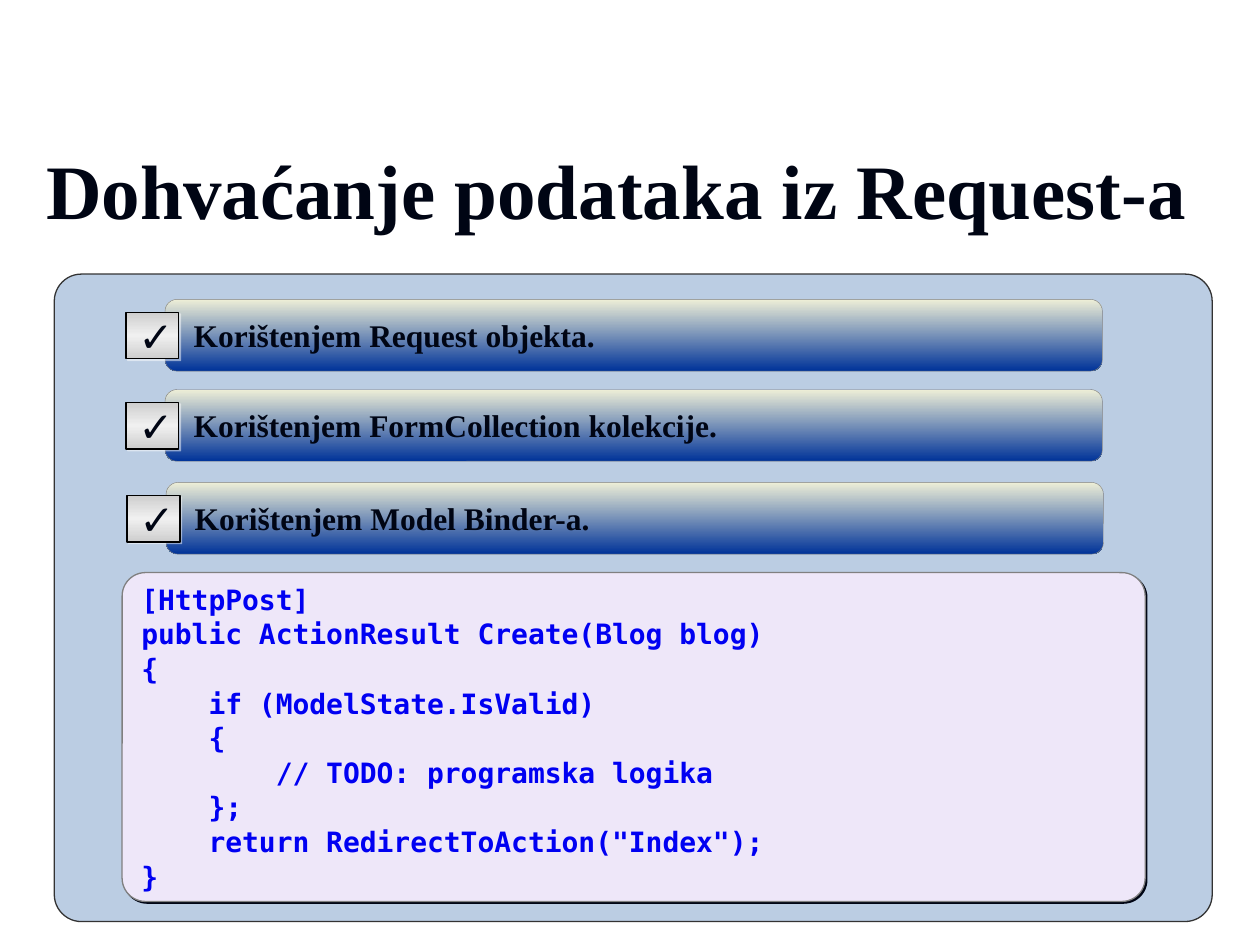
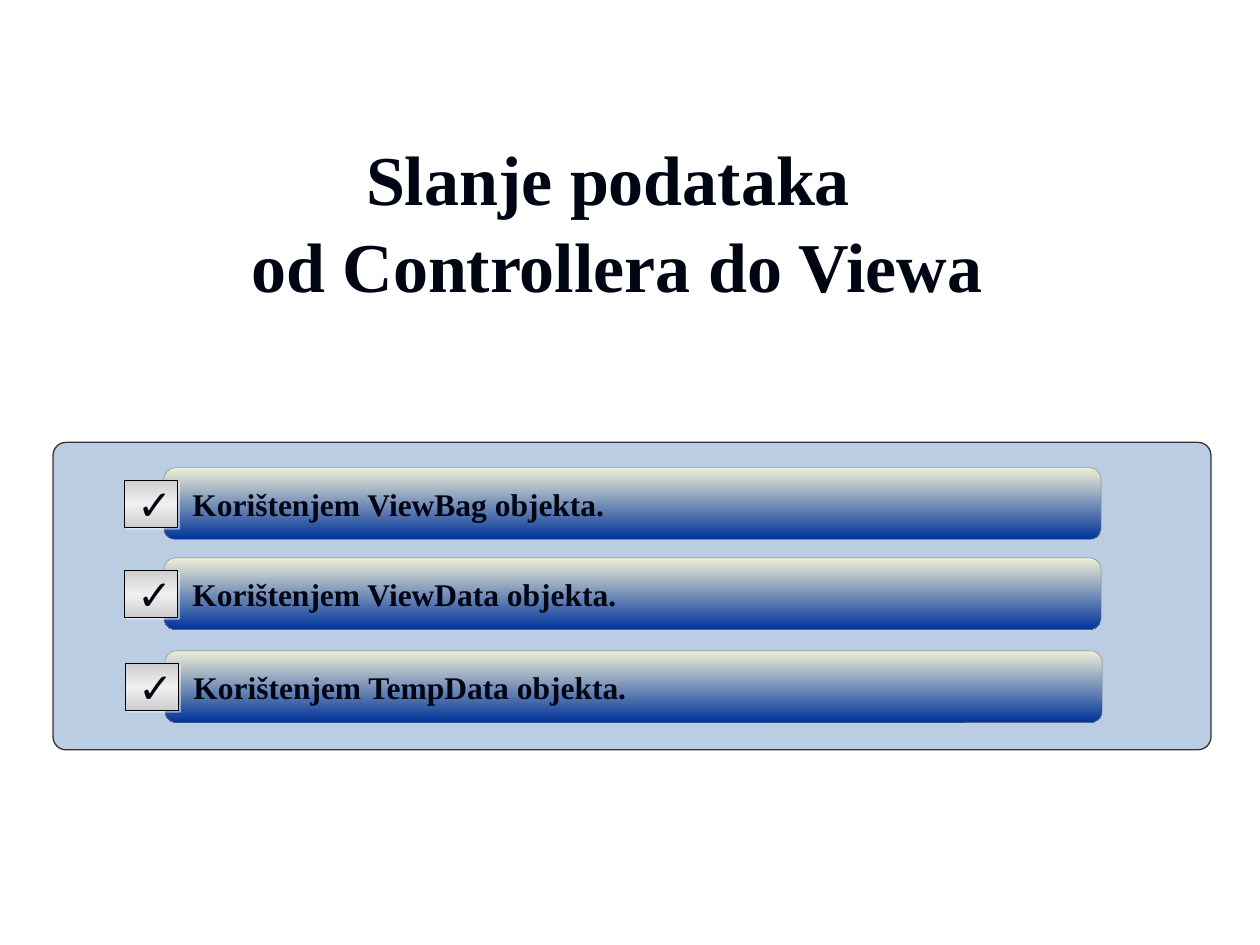
from lxml.etree import SubElement
from pptx import Presentation
from pptx.dml.color import RGBColor
from pptx.enum.shapes import MSO_SHAPE as Preset
from pptx.enum.text import MSO_ANCHOR as Anchor, PP_ALIGN as Align
from pptx.oxml.ns import qn
from pptx.util import Pt

INK = "000514"
PANEL_FILL, PANEL_LINE = "BBCDE3", "333333"
CODE_FILL, CODE_INK = "EEE7F9", "0000F2"
GREY = "808080"
BAR_STOPS = ((0, "EEEFD7"), (100, "003399"))
CHECK_STOPS = ((0, "CECECE"), (50, "F0F0F0"), (100, "CECECE"))
SERIF, SANS, MONO = "Times New Roman", "Arial", "DejaVu Sans Mono"
PANEL_WIDTH = 661.7
BAR_OFFSETS = ((0, 0), (0, 51.5), (0.6, 104.6))

CODE = """[HttpPost]
public ActionResult Create(Blog blog)
{
    if (ModelState.IsValid)
    {
        // TODO: programska logika
    };
    return RedirectToAction("Index");
}"""


def color(hex_code):
    """Turn a hex string into a colour."""
    return RGBColor.from_string(hex_code)


def add_rounded(slide, left, top, width, height, corner, line, weight):
    """Add a rounded rectangle with an outline and no shadow."""
    shape = slide.shapes.add_shape(
        Preset.ROUNDED_RECTANGLE, Pt(left), Pt(top), Pt(width), Pt(height))
    shape.adjustments[0] = corner
    shape.shadow.inherit = False
    shape.line.color.rgb = color(line)
    shape.line.width = Pt(weight)
    return shape


def fill_solid(shape, hex_code):
    """Fill a shape with one colour."""
    shape.fill.solid()
    shape.fill.fore_color.rgb = color(hex_code)


def fill_gradient(shape, stops):
    """Fill a shape from top to bottom through (percent, colour) stops."""
    shape.fill.gradient()
    shape.fill.gradient_angle = 270
    stop_list = shape._element.spPr.find(qn("a:gradFill")).find(qn("a:gsLst"))
    for old_stop in list(stop_list):
        stop_list.remove(old_stop)
    for percent, hex_code in stops:
        stop = SubElement(stop_list, qn("a:gs"), pos=str(percent * 1000))
        SubElement(stop, qn("a:srgbClr"), val=hex_code)


def add_shadow(shape, hex_code, opacity):
    """Cast a small hard shadow down and to the right."""
    effects = shape._element.spPr.find(qn("a:effectLst"))
    shadow = SubElement(effects, qn("a:outerShdw"), dist=str(Pt(1.4)),
                        dir="2700000", algn="ctr", rotWithShape="0")
    shade = SubElement(shadow, qn("a:srgbClr"), val=hex_code)
    SubElement(shade, qn("a:alpha"), val=str(opacity * 1000))


def set_frame(shape, side, edge, wrap=True):
    """Set margins, wrapping and middle anchoring, and return the frame."""
    frame = shape.text_frame
    frame.margin_left = frame.margin_right = Pt(side)
    frame.margin_top = frame.margin_bottom = Pt(edge)
    frame.word_wrap = wrap
    frame.vertical_anchor = Anchor.MIDDLE
    return frame


def add_run(paragraph, text, size, font_name, hex_code=INK, bold=True):
    """Add one formatted run to a paragraph."""
    run = paragraph.add_run()
    run.text = text
    run.font.size = Pt(size)
    run.font.name = font_name
    run.font.bold = bold
    run.font.color.rgb = color(hex_code)


def add_title(slide, lines, height, size):
    """Add the centred slide title, one line break between its lines."""
    box = slide.shapes.add_textbox(Pt(12.2), Pt(78.5), Pt(680.4), Pt(height))
    paragraph = set_frame(box, 0, 0).paragraphs[0]
    paragraph.alignment = Align.CENTER
    paragraph.line_spacing = 1.04
    for index, line in enumerate(lines):
        if index:
            paragraph.add_line_break()
        add_run(paragraph, line, size, SERIF)


def add_panel(slide, left, top, height):
    """Add the pale blue panel behind the content."""
    panel = add_rounded(slide, left, top, PANEL_WIDTH, height, 0.042, PANEL_LINE, 0.75)
    fill_solid(panel, PANEL_FILL)


def add_check_item(slide, left, top, text):
    """Add a gradient bar with its text and a check box on its left end."""
    bar = add_rounded(slide, left, top, 535.7, 41, 0.167, GREY, 0.25)
    fill_gradient(bar, BAR_STOPS)
    paragraph = set_frame(bar, 14.4, 3.6).paragraphs[0]
    paragraph.alignment = Align.LEFT
    add_run(paragraph, text, 18, SERIF)

    check = add_rounded(slide, left - 22.3, top + 7.4, 30.2, 26.6, 0, "000000", 0.75)
    fill_gradient(check, CHECK_STOPS)
    add_shadow(check, "FFFFFF", 50)
    paragraph = set_frame(check, 7.2, 3.6, wrap=False).paragraphs[0]
    paragraph.alignment = Align.LEFT
    add_run(paragraph, "✓", 24, SANS, bold=False)


def add_checklist(slide, panel_left, panel_top, items):
    """Add the check items at their places inside the panel."""
    for (shift, drop), text in zip(BAR_OFFSETS, items):
        add_check_item(slide, panel_left + 63.3 + shift, panel_top + 14.5 + drop, text)


def add_code(slide, code):
    """Add the code card, one paragraph to a line."""
    card = add_rounded(slide, 69.8, 327.2, 584.6, 187.9, 0.071, GREY, 0.75)
    fill_solid(card, CODE_FILL)
    add_shadow(card, INK, 100)
    frame = set_frame(card, 7.2, 3.6)
    for index, line in enumerate(code.splitlines()):
        paragraph = frame.add_paragraph() if index else frame.paragraphs[0]
        paragraph.alignment = Align.LEFT
        paragraph.line_spacing = 1.03
        add_run(paragraph, line, 16, MONO, CODE_INK)


def add_list_slide(presentation, title, title_height, title_size, panel, items):
    """Add a slide with a title and a checklist on a panel."""
    slide = presentation.slides.add_slide(presentation.slide_layouts[6])
    left, top, height = panel
    add_panel(slide, left, top, height)
    add_title(slide, title, title_height, title_size)
    add_checklist(slide, left, top, items)
    return slide


def main():
    """Build and save the presentation."""
    presentation = Presentation()
    presentation.slide_width, presentation.slide_height = Pt(720), Pt(540)

    request_slide = add_list_slide(
        presentation, ["Dohvaćanje podataka iz Request-a"], 56.9, 44,
        (31, 156.6, 370),
        ["Korištenjem Request objekta.",
         "Korištenjem FormCollection kolekcije.",
         "Korištenjem Model Binder-a."])
    add_code(request_slide, CODE)

    add_list_slide(
        presentation, ["Slanje podataka ", "od Controllera do Viewa"], 93.6, 40,
        (30.3, 252.8, 175.7),
        ["Korištenjem ViewBag objekta.",
         "Korištenjem ViewData objekta.",
         "Korištenjem TempData objekta."])

    presentation.save("out.pptx")


if __name__ == "__main__":
    main()
